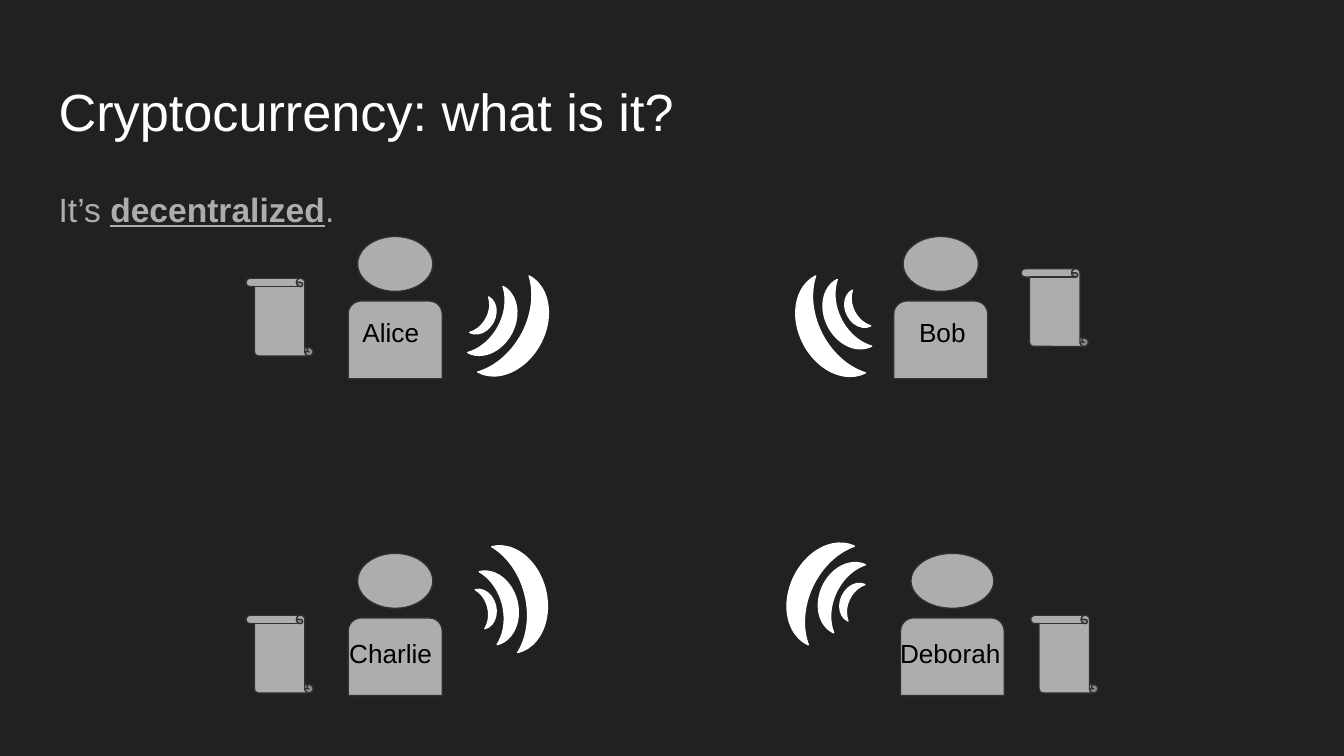
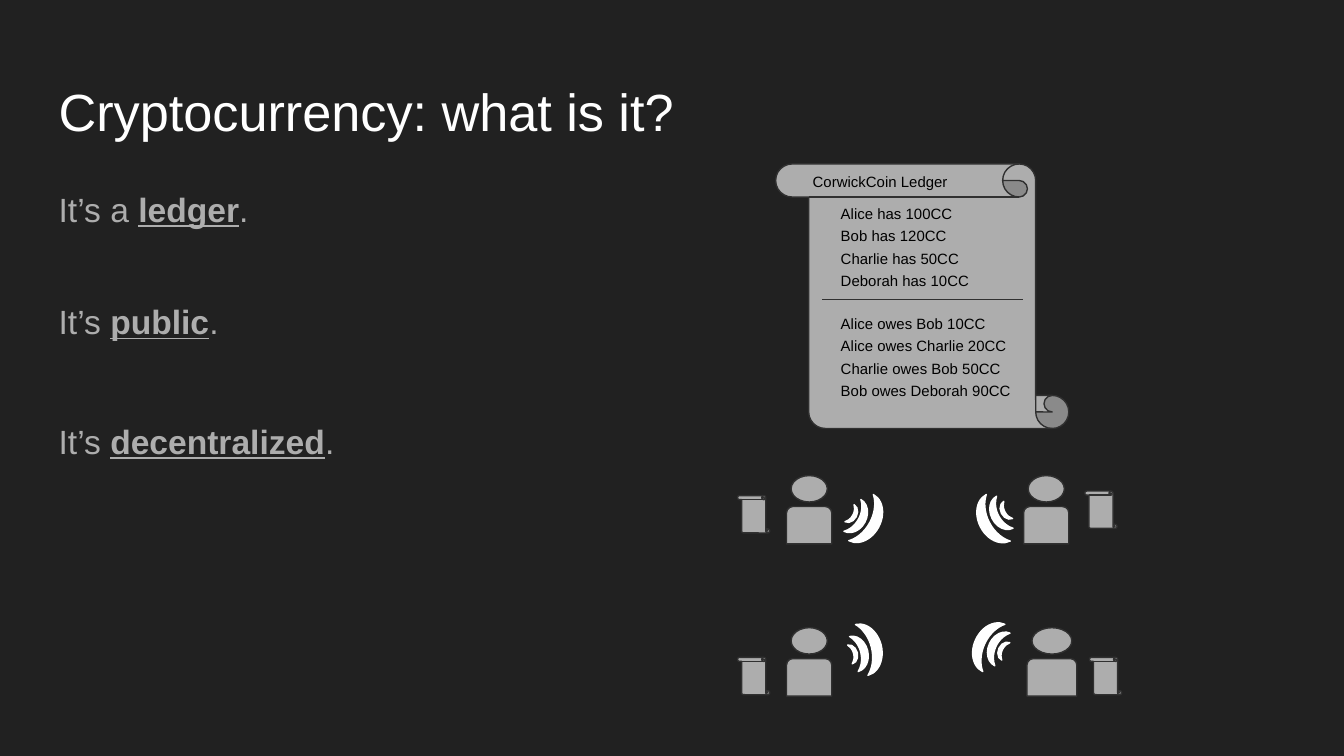
from dataclasses import dataclass
from lxml.etree import SubElement
from pptx import Presentation
from pptx.dml.color import RGBColor as RGB
from pptx.enum.shapes import MSO_CONNECTOR, MSO_SHAPE as SHAPE
from pptx.oxml.ns import qn
from pptx.util import Cm, Pt


@dataclass(frozen=True)
class Theme:
    background: RGB = RGB.from_string("212121")
    heading: RGB = RGB.from_string("FFFFFF")
    muted: RGB = RGB.from_string("ADADAD")
    outline: RGB = RGB.from_string("303030")
    signal: RGB = RGB.from_string("FFFFFF")
    ink: RGB = RGB.from_string("000000")
    font: str = "Arial"
    heading_size: Pt = Pt(28)
    statement_size: Pt = Pt(18)
    name_size: Pt = Pt(14)
    entry_size: Pt = Pt(8)
    stroke: Pt = Pt(0.75)


theme = Theme()
EMPHASIS = {"bold": True, "underline": True}


def add_text(shapes, box, pieces, size, color, spacing=None):
    holder = shapes.add_textbox(*map(Cm, box))
    frame = holder.text_frame
    frame.word_wrap = True
    for side in ("left", "top", "right", "bottom"):
        setattr(frame, f"margin_{side}", Cm(0.25))
    paragraph = frame.paragraphs[0]
    for key, value in (spacing or {}).items():
        setattr(paragraph, key, value)
    for words, extra in pieces:
        run = paragraph.add_run()
        run.text = words
        run.font.color.rgb = color
        for key, value in {"name": theme.font, "size": size, **extra}.items():
            setattr(run.font, key, value)


def add_figure(shapes, kind, box, fill, line, rotation=0, mirrored=False):
    figure = shapes.add_shape(kind, *map(Cm, box))
    figure.shadow.inherit = False
    figure.fill.solid()
    figure.fill.fore_color.rgb = fill
    figure.line.color.rgb = line
    figure.line.width = theme.stroke
    figure.rotation = rotation
    if mirrored:
        figure._element.spPr.get_or_add_xfrm().set("flipH", "1")


deck = Presentation()
deck.slide_width, deck.slide_height = Cm(25.4), Cm(14.29)

statements = [
    [("It’s ", "decentralized", 3.2, 9.5)],
    [("It’s a ", "ledger", 3.2, 1.6), ("It’s ", "public", 5.33, 1.6), ("It’s ", "decentralized", 7.59, 1.6)],
]
slides = []
for lines in statements:
    slide = deck.slides.add_slide(deck.slide_layouts[6])
    slide.background.fill.solid()
    slide.background.fill.fore_color.rgb = theme.background
    add_text(slide.shapes, (0.86, 1.24, 23.67, 1.6), [("Cryptocurrency: what is it?", {})],
             theme.heading_size, theme.heading)
    for opening, keyword, top, height in lines:
        add_text(slide.shapes, (0.86, top, 23.67, height),
                 [(opening, {}), (keyword, EMPHASIS), (".", {})],
                 theme.statement_size, theme.muted,
                 {"line_spacing": 1.15, "space_after": Pt(16)})
    slides.append(slide)

ledger = slides[1].shapes.add_group_shape().shapes
add_figure(ledger, SHAPE.VERTICAL_SCROLL, (14.66, 3.1, 5.54, 5), theme.muted, theme.outline, mirrored=True)
balances = [("Alice has 100CC", 3.33), ("Bob has 120CC", 3.33),
            ("Charlie has 50CC", 3.33), ("Deborah has 10CC", 3.63)]
debts = [("Alice owes Bob 10CC", 3.33), ("Alice owes Charlie 20CC", 3.96),
         ("Charlie owes Bob 50CC", 3.96), ("Bob owes Deborah 90CC", 4.19)]
sections = [([("CorwickCoin Ledger", 3.18)], 15.11, 3.1), (balances, 15.64, 3.7), (debts, 15.64, 5.78)]
for entries, left, top in sections:
    for row, (entry, width) in enumerate(entries):
        add_text(ledger, (left, top + 0.42 * row, width, 0.66), [(entry, {})],
                 theme.entry_size, theme.ink)
divider = ledger.add_connector(MSO_CONNECTOR.STRAIGHT, Cm(15.54), Cm(5.66), Cm(19.33), Cm(5.66))
divider.line.color.rgb = theme.outline
divider.line.width = theme.stroke
SubElement(divider._element.spPr, qn("a:effectLst"))

people = [
    dict(name="Alice", side=0, body=(6.58, 5.69, 1.78), label=(6.6, 5.74, 1.68), copy=(4.65, 5.26),
         angle=28.1, waves=[(9.04, 5.64), (9.14, 5.46), (9.47, 5.28)]),
    dict(name="Bob", side=1, body=(16.89, 5.69, 1.78), label=(17.12, 5.74, 1.52), copy=(19.3, 5.08),
         angle=152.8, waves=[(16, 5.51), (15.62, 5.33), (15.14, 5.28)]),
    dict(name="Charlie", side=0, body=(6.58, 11.68, 1.78), label=(6.35, 11.79, 2.29), copy=(4.65, 11.63),
         angle=346.2, waves=[(9.07, 11.1), (9.22, 10.72), (9.53, 10.21)]),
    dict(name="Deborah", side=1, body=(17.02, 11.68, 1.96), label=(16.76, 11.79, 2.97), copy=(19.48, 11.63),
         angle=205, waves=[(15.9, 10.95), (15.52, 10.49), (14.96, 10.06)]),
]
wave_sizes = [(0.3, 0.76), (0.56, 1.42), (0.79, 2.06)]
side_lefts, network_top = (4.65, 14.96), 4.47
networks = [(slides[0], 1, side_lefts, network_top, True),
            (slides[1], 0.48, (13.94, 18.42), 8.99, False)]

for slide, scale, lefts, top, named in networks:
    network = slide.shapes.add_group_shape().shapes
    for person in people:
        side = person["side"]
        x, y, width = person["body"]
        parts = [
            (SHAPE.ROUND_2_SAME_RECTANGLE, (x, y, width, 1.47), theme.muted, theme.outline, 0, False),
            (SHAPE.OVAL, (x + 0.1 * width, y - 1.22, 0.8 * width, 1.04), theme.muted, theme.outline, 0, False),
            (SHAPE.VERTICAL_SCROLL, (*person["copy"], 1.27, 1.47), theme.muted, theme.outline, 0, True),
        ]
        for corner, size in zip(person["waves"], wave_sizes):
            parts.append((SHAPE.MOON, (*corner, *size), theme.signal, theme.signal, person["angle"], True))
        for kind, (x, y, w, h), *look in parts:
            box = (lefts[side] + (x - side_lefts[side]) * scale,
                   top + (y - network_top) * scale, w * scale, h * scale)
            add_figure(network, kind, box, *look)
        if named:
            add_text(network, (*person["label"], 1.17), [(person["name"], {})],
                     theme.name_size, theme.ink)

deck.save("out.pptx")
